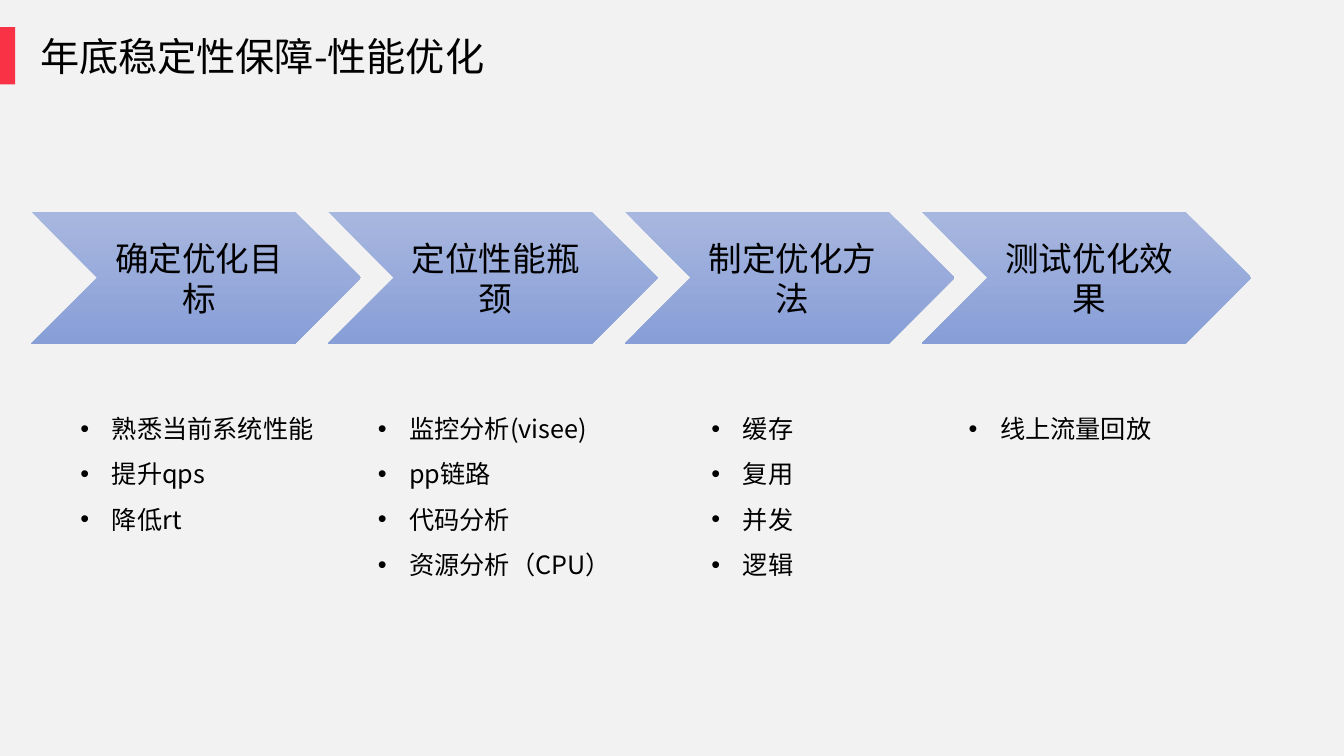
from dataclasses import dataclass

from lxml import etree
from pptx import Presentation
from pptx.dml.color import RGBColor
from pptx.enum import shapes, text
from pptx.oxml import ns
from pptx.util import Pt


@dataclass(frozen=True)
class Theme:
    font: str = "Noto Sans CJK SC"
    ink: str = "000000"
    paper: str = "F2F2F2"
    accent: str = "FA3246"
    chevron_top: str = "A8B7DF"
    chevron_bottom: str = "889ED7"
    title: int = 28
    step: int = 24
    body: int = 18


THEME = Theme()
TITLE = "年底稳定性保障-性能优化"
STEPS = [
    ("确定优化目标", 50.4, 182, ["熟悉当前系统性能", "提升qps", "降低rt"]),
    ("定位性能瓶颈", 262.8, 183, ["监控分析(visee)", "pp链路", "代码分析", "资源分析（CPU）"]),
    ("制定优化方法", 501.1, 74, ["缓存", "复用", "并发", "逻辑"]),
    ("测试优化效果", 684.7, 146, ["线上流量回放"]),
]
STEP_LEFT, STEP_TOP, STEP_PITCH = 22.3, 151.2, 212
STEP_WIDTH, STEP_HEIGHT = 235.6, 94.3
LIST_TOP, LIST_HEIGHT, LIST_INDENT = 280.8, 138, 22.5


def add_span(para, words, size):
    """Add one run in the theme font for both Latin and Chinese letters."""
    span = para.add_run()
    span.text = words
    span.font.size = Pt(size)
    span.font.name = THEME.font
    span.font.color.rgb = RGBColor.from_string(THEME.ink)
    east = etree.SubElement(span.font._element, ns.qn("a:ea"))
    east.set("typeface", THEME.font)


def add_box(page, left, top, width, height):
    """Add a wrapping text box and return its text frame."""
    box = page.shapes.add_textbox(Pt(left), Pt(top), Pt(width), Pt(height))
    box.text_frame.word_wrap = True
    return box.text_frame


def add_block(page, kind, left, top, width, height):
    """Add a preset shape without outline or shadow."""
    block = page.shapes.add_shape(kind, Pt(left), Pt(top), Pt(width), Pt(height))
    block.shadow.inherit = False
    block.line.fill.background()
    return block


def add_title(page):
    """Add the heading and its accent bar."""
    frame = add_box(page, 21.6, 19.4, 336.2, 41)
    add_span(frame.paragraphs[0], TITLE, THEME.title)
    bar = add_block(page, shapes.MSO_SHAPE.RECTANGLE, 0, 19.4, 10.8, 41)
    bar.fill.solid()
    bar.fill.fore_color.rgb = RGBColor.from_string(THEME.accent)


def add_step(page, left, label):
    """Add a gradient chevron with its centred label."""
    chevron = add_block(page, shapes.MSO_SHAPE.CHEVRON, left, STEP_TOP, STEP_WIDTH, STEP_HEIGHT)
    chevron.fill.gradient()
    chevron.fill.gradient_angle = 270
    colours = (THEME.chevron_top, THEME.chevron_bottom)
    for position, (stop, colour) in enumerate(zip(chevron.fill.gradient_stops, colours)):
        stop.position = position
        stop.color.rgb = RGBColor.from_string(colour)

    notch = STEP_HEIGHT / 2
    frame = add_box(page, left + notch, STEP_TOP, STEP_WIDTH - 2 * notch, STEP_HEIGHT)
    frame.margin_right = frame.margin_top = frame.margin_bottom = Pt(3)
    frame.vertical_anchor = text.MSO_ANCHOR.MIDDLE
    para = frame.paragraphs[0]
    para.alignment = text.PP_ALIGN.CENTER
    add_span(para, label, THEME.step)


def add_bullets(page, left, width, items):
    """Add a bulleted list below a step."""
    frame = add_box(page, left, LIST_TOP, width, LIST_HEIGHT)
    for index, item in enumerate(items):
        para = frame.add_paragraph() if index else frame.paragraphs[0]
        para.line_spacing = 1.5
        props = para._p.get_or_add_pPr()
        props.set("marL", str(Pt(LIST_INDENT)))
        props.set("indent", str(-Pt(LIST_INDENT)))
        etree.SubElement(props, ns.qn("a:buFont")).set("typeface", "Arial")
        etree.SubElement(props, ns.qn("a:buChar")).set("char", "•")
        add_span(para, item, THEME.body)


def main():
    """Build the slide and save the deck."""
    deck = Presentation()
    deck.slide_width, deck.slide_height = Pt(960), Pt(540)
    page = deck.slides.add_slide(deck.slide_layouts[6])
    page.background.fill.solid()
    page.background.fill.fore_color.rgb = RGBColor.from_string(THEME.paper)

    add_title(page)
    for index, (label, list_left, list_width, items) in enumerate(STEPS):
        add_step(page, STEP_LEFT + index * STEP_PITCH, label)
        add_bullets(page, list_left, list_width, items)
    deck.save("out.pptx")


if __name__ == "__main__":
    main()
